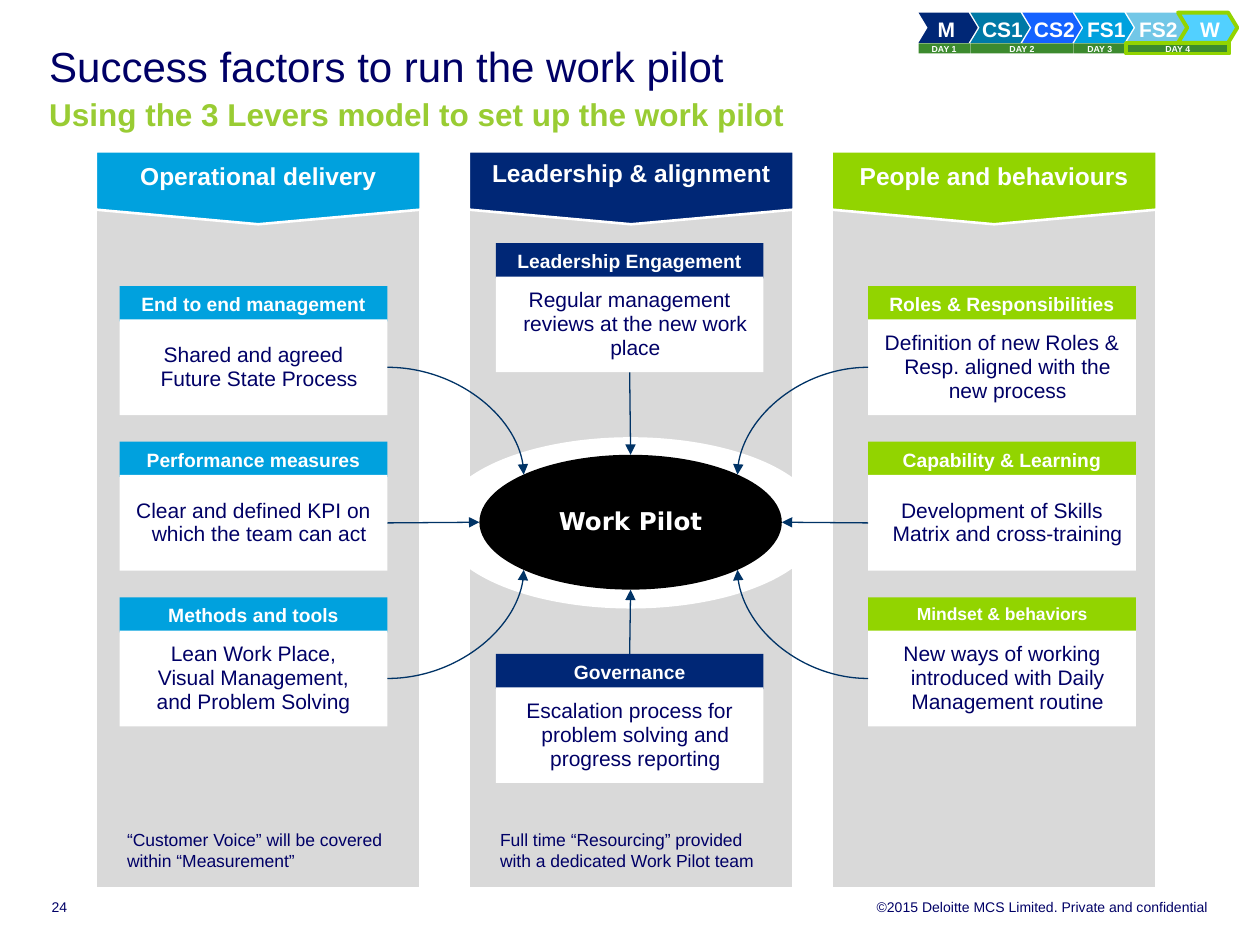
from lxml import etree
from pptx import Presentation
from pptx.dml.color import RGBColor
from pptx.enum.shapes import MSO_CONNECTOR, MSO_SHAPE
from pptx.enum.text import MSO_ANCHOR, PP_ALIGN
from pptx.oxml.ns import qn
from pptx.util import Inches, Pt

LEFT, CENTER, RIGHT = PP_ALIGN.LEFT, PP_ALIGN.CENTER, PP_ALIGN.RIGHT
TOP, MIDDLE = MSO_ANCHOR.TOP, MSO_ANCHOR.MIDDLE
RECTANGLE, OVAL = MSO_SHAPE.RECTANGLE, MSO_SHAPE.OVAL
CHEVRON, BANNER = MSO_SHAPE.CHEVRON, MSO_SHAPE.FLOWCHART_OFFPAGE_CONNECTOR
STRAIGHT, CURVE = MSO_CONNECTOR.STRAIGHT, MSO_CONNECTOR.CURVE

WHITE = RGBColor(0xFF, 0xFF, 0xFF)
BLACK = RGBColor(0, 0, 0)
INK = RGBColor(0, 0, 0x66)
SUBTITLE = RGBColor(0x99, 0xCC, 0x33)
PANEL = RGBColor(0xD9, 0xD9, 0xD9)
ARROW = RGBColor(0, 0x33, 0x66)
NAVY = RGBColor(0, 0x27, 0x76)
CYAN = RGBColor(0, 0xA1, 0xDE)
LIME = RGBColor(0x92, 0xD4, 0)
DAY_GREEN = RGBColor(0x3C, 0x8A, 0x2E)

# Content
TITLE = "Success factors to run the work pilot"
TAGLINE = "Using the 3 Levers model to set up the work pilot"
COPYRIGHT = "©2015 Deloitte MCS Limited. Private and confidential"
PAGE_NUMBER = "24"
HUB = "Work Pilot"

STEPS = [
    ("M", NAVY), ("CS1", RGBColor(0, 0x79, 0xA6)), ("CS2", RGBColor(0x14, 0x62, 0xFF)),
    ("FS1", CYAN), ("FS2", RGBColor(0x72, 0xC7, 0xE7)), ("W", RGBColor(0x52, 0xD0, 0xFF)),
]
DAYS = [("DAY 1", 0, 1), ("DAY 2", 1, 2), ("DAY 3", 3, 1), ("DAY 4", 4, 2)]  # first step, steps

ROW_TOP, ROW_PITCH = 2.27, 1.235
ROWS = [ROW_TOP + ROW_PITCH * row for row in range(3)]
COLUMNS = [
    dict(name="Operational delivery", color=CYAN, panel=0.76, card=0.95, rows=ROWS, spacing=1,
         note="“Customer Voice” will be covered within “Measurement”",
         cards=[("End to end management", ["Shared and agreed Future State Process"], 11),
                ("Performance measures", ["Clear and defined KPI on which the team can act"], 11),
                ("Methods and tools",
                 ["Lean Work Place,", "Visual Management,", "and Problem Solving"], 11)]),
    dict(name="Leadership & alignment", color=NAVY, panel=3.72, card=3.935, rows=[1.93, 5.19],
         spacing=0.9, note="Full time “Resourcing” provided with a dedicated Work Pilot team",
         cards=[("Leadership Engagement", ["Regular management reviews at the new work place"], 11),
                ("Governance",
                 ["Escalation process for problem solving and progress reporting"], 11)]),
    dict(name="People and behaviours", color=LIME, panel=6.6, card=6.89, rows=ROWS, spacing=1,
         note=None,
         cards=[("Roles & Responsibilities",
                 ["Definition of new Roles & Resp. aligned with the new process"], 11),
                ("Capability & Learning", ["Development of Skills Matrix and cross-training"], 11),
                ("Mindset & behaviors",
                 ["New ways of working introduced with Daily Management routine"], 10)]),
]

# Grid
PANEL_TOP, PANEL_WIDTH, PANEL_HEIGHT, BANNER_HEIGHT = 1.2, 2.58, 5.85, 0.58
CARD_WIDTH, HEADER_HEIGHT, BODY_OFFSET, BODY_HEIGHT = 2.125, 0.28, 0.265, 0.76
HUB_X, HUB_Y, HUB_WIDTH, HUB_HEIGHT = 5.005, 4.145, 2.4, 1.07
STEP_LEFT, STEP_PITCH, STEP_WIDTH = 7.29, 0.412, 0.47

presentation = Presentation()
presentation.slide_width, presentation.slide_height = Inches(10), Inches(7.5)
slide = presentation.slides.add_slide(presentation.slide_layouts[6])


def add_run(paragraph, text, size, color, bold=False, font="Arial"):
    run = paragraph.add_run()
    run.text = text
    run.font.name, run.font.size, run.font.bold = font, Pt(size), bold
    run.font.color.rgb = color


def write(shape, lines, size, color, bold=False, align=CENTER, anchor=TOP, wrap=True,
          insets=(0.1, 0.05, 0.1, 0.05), spacing=1, font="Arial", hanging=False):
    frame = shape.text_frame
    frame.word_wrap, frame.vertical_anchor = wrap, anchor
    (frame.margin_left, frame.margin_top,
     frame.margin_right, frame.margin_bottom) = map(Inches, insets)
    for index, line in enumerate(lines):
        paragraph = frame.add_paragraph() if index else frame.paragraphs[0]
        paragraph.alignment, paragraph.line_spacing = align, spacing
        if hanging:
            properties = paragraph._p.get_or_add_pPr()
            properties.set("marL", str(Inches(0.09)))
            properties.set("indent", str(-Inches(0.09)))
        add_run(paragraph, line, size, color, bold, font)


def add_box(kind, left, top, width, height, fill, line=None, line_width=1.5):
    shape = slide.shapes.add_shape(kind, *map(Inches, (left, top, width, height)))
    shape.shadow.inherit = False
    shape.fill.solid()
    shape.fill.fore_color.rgb = fill
    if line is None:
        shape.line.fill.background()
    else:
        shape.line.color.rgb = line
        shape.line.width = Pt(line_width)
    return shape


def add_label(left, top, width, height, lines, size, **options):
    box = slide.shapes.add_textbox(*map(Inches, (left, top, width, height)))
    write(box, lines, size, INK, **options)


def add_arrow(kind, start, end, source=None, site=0):
    connector = slide.shapes.add_connector(kind, *map(Inches, (*start, *end)))
    if source is not None:
        connector.begin_connect(source, site)
    connector.line.color.rgb = ARROW
    connector.line.width = Pt(0.75)
    properties = connector._element.spPr
    if kind == CURVE:
        properties.find(qn("a:prstGeom")).set("prst", "curvedConnector2")
    etree.SubElement(properties.find(qn("a:ln")), qn("a:tailEnd"), type="triangle")
    etree.SubElement(properties, qn("a:effectLst"))


# Agenda tracker: the last step and the last day are highlighted
for index, (name, color) in enumerate(STEPS):
    current = LIME if index == len(STEPS) - 1 else None
    chevron = add_box(CHEVRON, STEP_LEFT + index * STEP_PITCH, 0.1, STEP_WIDTH, 0.24,
                      color, current, 2.25)
    chevron.adjustments[0] = 0.303
    first = index == 0
    write(chevron, [name], 12, WHITE, bold=True, anchor=MIDDLE, wrap=False, spacing=1.1,
          align=LEFT if first else CENTER,
          insets=(0.08, 0.06, 0, 0.06) if first else (0.2, 0.06, 0.16, 0.06))
for name, first, count in DAYS:
    current = LIME if name == DAYS[-1][0] else None
    day = add_box(RECTANGLE, STEP_LEFT + first * STEP_PITCH, 0.345,
                  count * STEP_PITCH - 0.005, 0.08, DAY_GREEN, current, 2.25)
    write(day, [name], 5, WHITE, bold=True, insets=(0.04, 0, 0.04, 0))

# Title and footer
title = slide.shapes.add_textbox(*map(Inches, (0.39, 0.39, 9.18, 0.68)))
write(title, [TITLE], 24, INK, align=LEFT, insets=(0, 0, 0, 0), spacing=Pt(24))
heading = title.text_frame.paragraphs[0]
heading.add_line_break()
add_run(heading, TAGLINE, 18, SUBTITLE, bold=True)
add_label(0.41, 7.13, 2.08, 0.13, [PAGE_NUMBER], 8, align=LEFT, insets=(0, 0, 0, 0))
add_label(3.4, 7.13, 6.19, 0.13, [COPYRIGHT], 8, align=RIGHT, insets=(0, 0, 0, 0))

# Column panels, then the hub on its white halo
for column in COLUMNS:
    add_box(RECTANGLE, column["panel"], PANEL_TOP, PANEL_WIDTH, PANEL_HEIGHT, PANEL, WHITE)
add_box(OVAL, HUB_X - 1.515, 3.47, 3.03, 1.36, WHITE)
hub = add_box(OVAL, HUB_X - HUB_WIDTH / 2, HUB_Y - HUB_HEIGHT / 2, HUB_WIDTH, HUB_HEIGHT, BLACK)
write(hub, [HUB], 14, WHITE, bold=True, anchor=MIDDLE, spacing=0.95, font="DejaVu Sans")

# Banners, notes, cards and the arrows to the hub
for column_index, column in enumerate(COLUMNS):
    banner = add_box(BANNER, column["panel"], PANEL_TOP, PANEL_WIDTH, BANNER_HEIGHT,
                     column["color"], WHITE)
    write(banner, [column["name"]], 14, WHITE, bold=True, insets=(0.08,) * 4,
          spacing=column["spacing"])
    if column["note"]:
        add_label(column["panel"] + 0.15, 6.53, 2.28, 0.4, [column["note"]], 10, align=LEFT)
    side = column_index - 1  # -1 left, 0 middle, 1 right
    left = column["card"]
    for row, (top, (name, lines, size)) in enumerate(zip(column["rows"], column["cards"])):
        header = add_box(RECTANGLE, left, top, CARD_WIDTH, HEADER_HEIGHT, column["color"])
        write(header, [name], size, WHITE, bold=True, wrap=False)
        body = add_box(RECTANGLE, left, top + BODY_OFFSET, CARD_WIDTH, BODY_HEIGHT, WHITE)
        write(body, lines, 12, INK, anchor=MIDDLE, spacing=0.95, hanging=True)

        middle = top + BODY_OFFSET + BODY_HEIGHT / 2
        edge = left if side > 0 else left + CARD_WIDTH
        if side == 0:
            source, site, direction = (header, 0, 1) if row else (body, 2, -1)
            start = (HUB_X, top if row else top + BODY_OFFSET + BODY_HEIGHT)
            add_arrow(STRAIGHT, start, (HUB_X, HUB_Y + direction * HUB_HEIGHT / 2), source, site)
        elif row == 1:
            add_arrow(STRAIGHT, (edge, middle), (HUB_X + side * HUB_WIDTH / 2, HUB_Y),
                      body, 1 if side > 0 else 3)
        else:
            diagonal = 0.5 ** 0.5 / 2
            add_arrow(CURVE, (edge, middle), (HUB_X + side * HUB_WIDTH * diagonal,
                                              HUB_Y + (row - 1) * HUB_HEIGHT * diagonal))

presentation.save("out.pptx")
